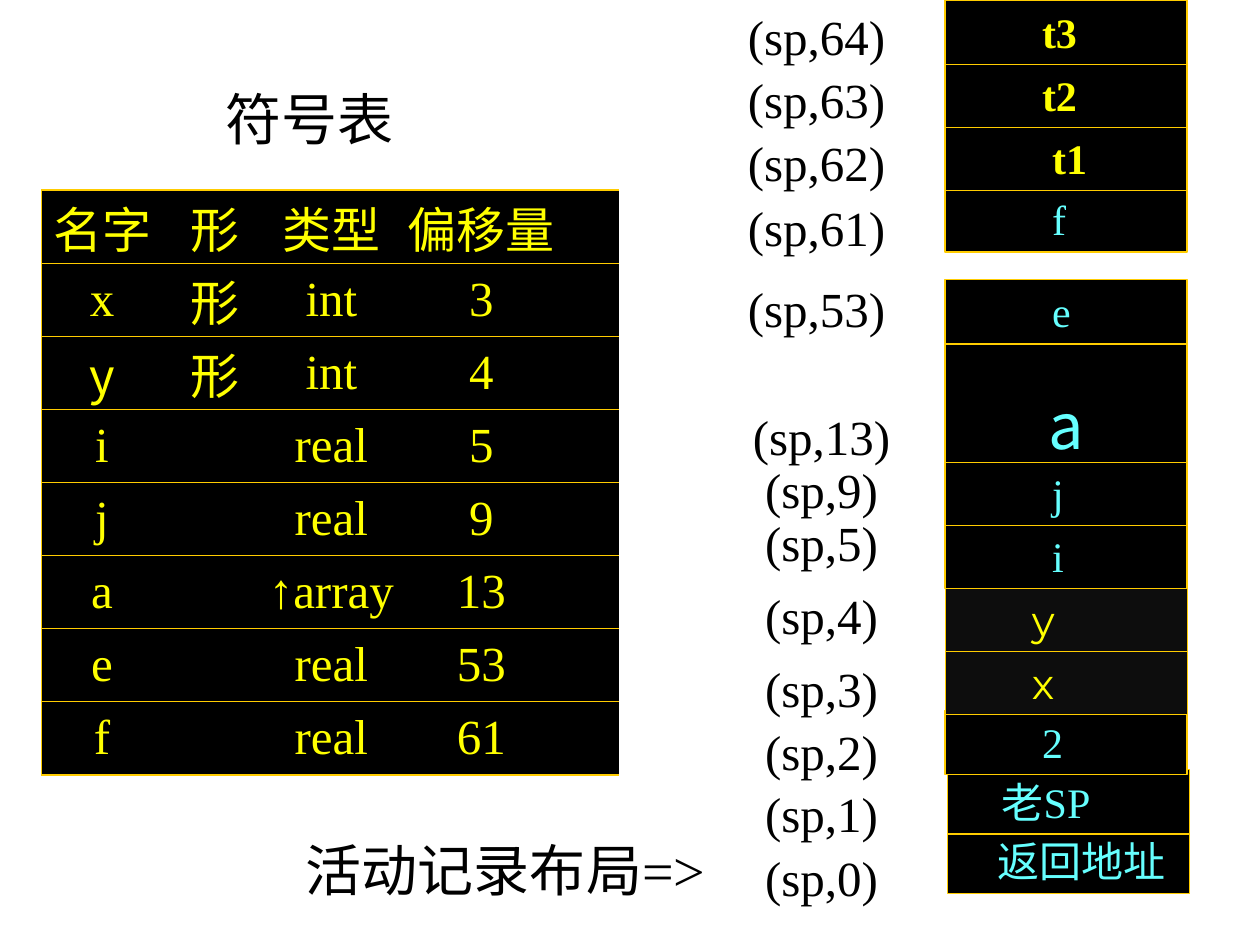
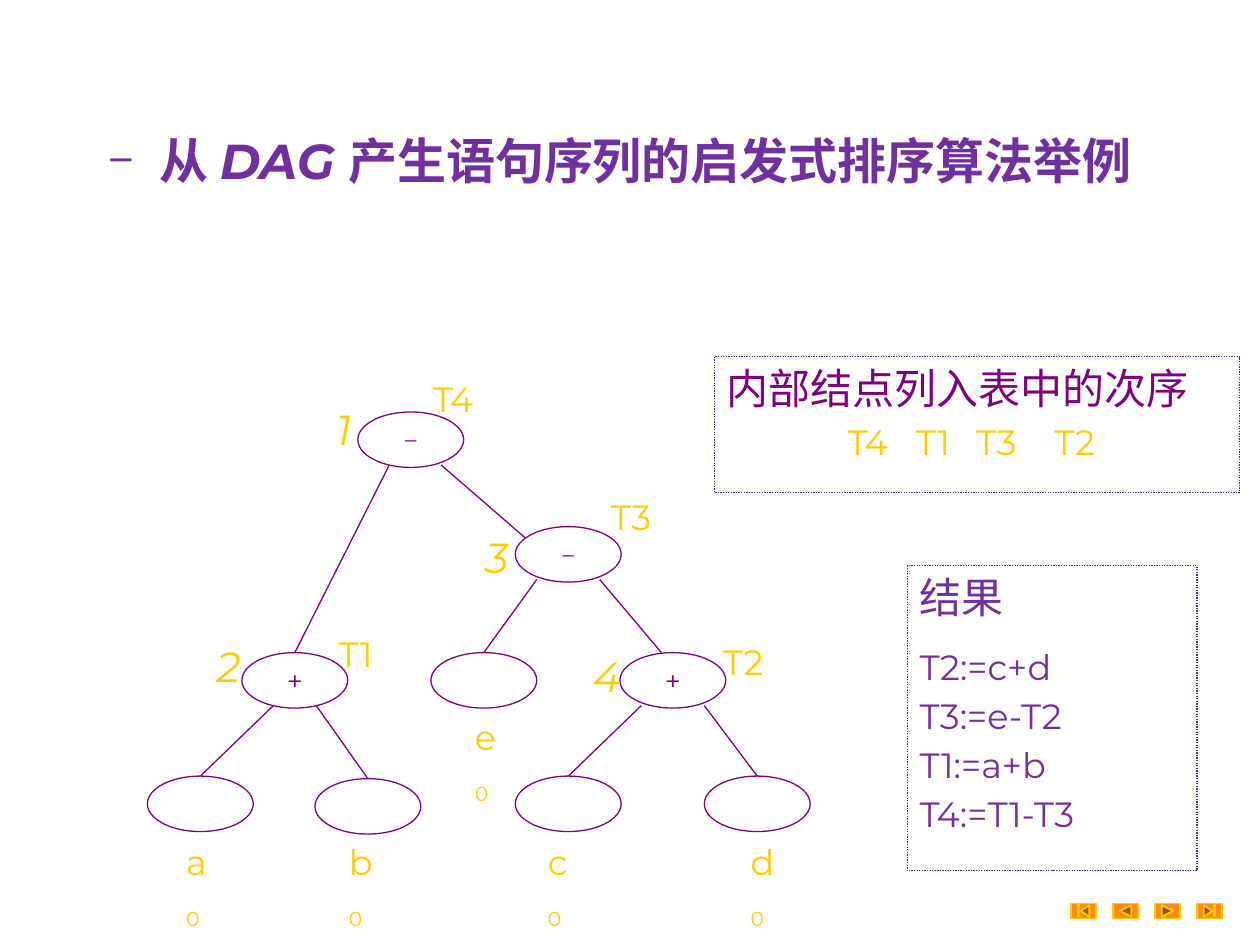
from lxml import etree
from pptx import Presentation, util as u
from pptx.dml.color import RGBColor
from pptx.enum import dml, shapes, text
from pptx.oxml.ns import qn

TIMES, NOTO, MONT = "Times New Roman", "Noto Sans CJK JP", "Montserrat"
BLACK, DARK, WHITE = "000000", "0D0D0D", "FFFFFF"
GOLD, YELLOW, CYAN, ORANGE = "FFCC00", "FFFF00", "66FFFF", "FF8B17"
PURPLE, VIOLET, NAVY = "800080", "7030A0", "333399"
MS, PA, MA = shapes.MSO_SHAPE, text.PP_ALIGN, text.MSO_ANCHOR

SYMBOLS = [
    ("名字", "形", "类型", "偏移量"),
    ("x", "形", "int", "3"),
    ("y", "形", "int", "4"),
    ("i", "", "real", "5"),
    ("j", "", "real", "9"),
    ("a", "", "↑array", "13"),
    ("e", "", "real", "53"),
    ("f", "", "real", "61"),
]
SYMBOL_AT, SYMBOL_COLS, SYMBOL_ROW = (0.33, 1.51), (0.96, 0.84, 1.0, 1.78), 0.58

TEMP = dict(size=24, name=TIMES, color=YELLOW, bold=True)
LOCAL = dict(size=24, name=TIMES, color=CYAN)
PARAM = dict(size=24, name=MONT, color=YELLOW)
ARRAY = dict(size=36, name=NOTO, color=CYAN)
STACK = [
    ("返回地址", 7.52, 6.58, 0.51, 0.4, LOCAL),
    ("老SP", 7.52, 6.11, 0.51, 0.43, LOCAL),
    ("2", 7.5, 5.64, 0.51, 0.77, LOCAL),
    ("x", 7.5, 5.17, 0.5, 0.69, PARAM),
    ("y", 7.5, 4.67, 0.5, 0.69, PARAM),
    ("i", 7.5, 4.16, 0.51, 0.85, LOCAL),
    ("j", 7.5, 3.66, 0.51, 0.85, LOCAL),
    ("a", 7.5, 2.73, 0.94, 0.82, ARRAY),
    ("e", 7.5, 2.22, 0.51, 0.85, LOCAL),
    ("f", 7.5, 1.49, 0.51, 0.85, LOCAL),
    ("t1", 7.5, 1.0, 0.51, 0.85, TEMP),
    ("t2", 7.5, 0.5, 0.51, 0.77, TEMP),
    ("t3", 7.5, 0.0, 0.51, 0.77, TEMP),
]
ADDRESSES = {64: 0, 63: 0.5, 62: 1, 61: 1.52, 53: 2.16, 13: 3.18, 9: 3.6,
             5: 4.02, 4: 4.6, 3: 5.18, 2: 5.68, 1: 6.17, 0: 6.68}
CAPTIONS = [("符号表", 1.33, 0.62, 2.25, PA.CENTER),
            ("活动记录布局=>", 2.33, 6.58, 3.67, PA.LEFT)]

TITLE = [("从 ", False), ("DAG ", True), ("产生语句序列的启发式排序算法举例", False)]
NODE_W, NODE_H = 0.84, 0.44
INNER = {
    "T4": ("−", (2.84, 3.27), (3.34, 3.0), "1", (2.57, 3.2)),
    "T1": ("+", (1.92, 5.18), (2.59, 5.02), "2", (1.62, 5.08)),
    "T3": ("−", (4.09, 4.18), (4.75, 3.93), "3", (3.75, 4.22)),
    "T2": ("+", (4.92, 5.18), (5.64, 5.08), "4", (4.61, 5.16)),
}
LEAVES = {
    "a": ((1.17, 6.16), (1.38, 6.67)),
    "b": ((2.5, 6.18), (2.67, 6.67)),
    "e": ((3.42, 5.18), (3.67, 5.68)),
    "c": ((4.09, 6.16), (4.25, 6.67)),
    "d": ((5.59, 6.16), (5.86, 6.67)),
}
EDGES = [
    ("T4", "T1", -0.17, 0, 0), ("T4", "T3", 0.24, -0.34, 0.09),
    ("T3", "e", -0.25, 0, 0), ("T3", "T2", 0.25, -0.09, 0),
    ("T1", "a", -0.17, 0, 0), ("T1", "b", 0.17, 0, 0),
    ("T2", "c", -0.25, 0, 0), ("T2", "d", 0.25, 0, 0),
]
ORDER_HEAD, ORDER = "内部结点列入表中的次序", ["T4", "T1", "T3", "T2"]
ORDER_TABS = (0.96, 1.5, 1.98, 2.6)
RESULT_HEAD = "结果"
RESULT = ["T2:=c+d", "T3:=e-T2", "T1:=a+b", "T4:=T1-T3"]
BUTTONS = [MS.ACTION_BUTTON_BEGINNING, MS.ACTION_BUTTON_BACK_OR_PREVIOUS,
           MS.ACTION_BUTTON_FORWARD_OR_NEXT, MS.ACTION_BUTTON_END]


def rgb(value):
    return RGBColor.from_string(value)


def inches(*values):
    return [u.Inches(v) for v in values]


def add_run(p, words, color, name, size, **fmt):
    r = p.add_run()
    r.text = words
    for key, value in dict(fmt, name=name, size=u.Pt(size)).items():
        setattr(r.font, key, value)
    r.font.color.rgb = rgb(color)
    ea = etree.SubElement(r._r.get_or_add_rPr(), qn("a:ea"))
    ea.set("typeface", NOTO)
    return r


def frame(sp, insets=(0.1, 0.05, 0.1, 0.05), anchor=MA.TOP, wrap=True):
    tf = sp.text_frame
    sides = ("margin_left", "margin_top", "margin_right", "margin_bottom")
    for key, value in zip(sides, inches(*insets)):
        setattr(tf, key, value)
    tf.vertical_anchor, tf.word_wrap = anchor, wrap
    return tf


def add_para(tf, words, fmt, align=PA.LEFT, before=0):
    p = tf.paragraphs[0]
    if p.runs:
        p = tf.add_paragraph()
        p.space_before = u.Pt(before)
    p.alignment = align
    add_run(p, words, **fmt)
    return p


def add_label(s, words, x, y, w, h, fmt, align=PA.LEFT, **box):
    sp = s.shapes.add_textbox(*inches(x, y, w, h))
    return add_para(frame(sp, **box), words, fmt, align)


def add_shape(s, kind, x, y, w, h, fill, line, width=0.75):
    sp = s.shapes.add_shape(kind, *inches(x, y, w, h))
    sp.shadow.inherit = False
    if fill:
        sp.fill.solid()
        sp.fill.fore_color.rgb = rgb(fill)
    else:
        sp.fill.background()
    sp.line.color.rgb, sp.line.width = rgb(line), u.Pt(width)
    return sp


def add_edge(s, start, end):
    c = s.shapes.add_connector(shapes.MSO_CONNECTOR.STRAIGHT, *inches(*start, *end))
    c.line.color.rgb, c.line.width = rgb(PURPLE), u.Pt(0.75)
    etree.SubElement(c._element.spPr, qn("a:effectLst"))


def set_borders(cell, colors):
    tcPr = cell._tc.get_or_add_tcPr()
    for i, (side, color) in enumerate(colors.items()):
        ln = etree.Element(qn("a:" + side), w=str(u.Pt(1)))
        if color:
            fill = etree.SubElement(ln, qn("a:solidFill"))
            etree.SubElement(fill, qn("a:srgbClr"), val=color)
        else:
            etree.SubElement(ln, qn("a:noFill"))
        tcPr.insert(i, ln)


def add_symbol_table(s):
    size = (sum(SYMBOL_COLS), SYMBOL_ROW * len(SYMBOLS))
    tbl = s.shapes.add_table(len(SYMBOLS), len(SYMBOL_COLS),
                             *inches(*SYMBOL_AT, *size)).table
    tbl.first_row = tbl.horz_banding = False
    for col, w in zip(tbl.columns, SYMBOL_COLS):
        col.width = u.Inches(w)
    for i, row in enumerate(SYMBOLS):
        for j, words in enumerate(row):
            cell = tbl.cell(i, j)
            cell.fill.solid()
            cell.fill.fore_color.rgb = rgb(BLACK)
            cell.margin_left = cell.margin_top = cell.margin_bottom = 0
            cell.margin_right = u.Inches(0.4 if j == len(row) - 1 else 0)
            cell.vertical_anchor = MA.MIDDLE
            set_borders(cell, {"lnL": None if j else GOLD, "lnR": None,
                               "lnT": GOLD, "lnB": GOLD})
            name = NOTO if words in ("y", "形") or i == 0 else TIMES
            add_para(cell.text_frame, words,
                     dict(size=28, name=name, color=YELLOW), PA.CENTER)


def build_layout_slide(s):
    for words, x, y, w, align in CAPTIONS:
        add_label(s, words, x, y, w, 0.63, dict(size=32, name=TIMES, color=BLACK), align)
    add_symbol_table(s)
    for words, x, y, h, indent, fmt in STACK:
        param, array = fmt is PARAM, fmt is ARRAY
        sp = add_shape(s, MS.RECTANGLE, x, y, 1.92, h, DARK if param else BLACK,
                       GOLD, 0.25 if param else 0.75)
        tf = frame(sp, (indent, 0 if array else 0.05, 0, 0 if array else 0.05),
                   MA.BOTTOM if array else MA.TOP)
        add_para(tf, words, fmt)
    for offset, y in ADDRESSES.items():
        center = 6.48 if offset > 13 else 6.52
        add_label(s, f"(sp,{offset})", center - 0.85, y, 1.7, 0.57,
                  dict(size=28, name=TIMES, color=BLACK), PA.CENTER)


def add_title(s):
    tf = frame(s.shapes.add_textbox(*inches(0.75, 0.99, 8.92, 0.57)))
    p = tf.paragraphs[0]
    pPr = p._p.get_or_add_pPr()
    pPr.set("marL", str(u.Inches(0.42)))
    pPr.set("indent", str(-u.Inches(0.42)))
    etree.SubElement(pPr, qn("a:buFont"), typeface=MONT)
    etree.SubElement(pPr, qn("a:buChar"), char="−")
    for words, italic in TITLE:
        add_run(p, words, VIOLET, MONT, 28, bold=True, italic=italic)


def add_tree(s):
    spots = {k: v[1] for k, v in INNER.items()} | {k: v[0] for k, v in LEAVES.items()}
    for parent, child, dx, end_dx, end_dy in EDGES:
        (px, py), (cx, cy) = spots[parent], spots[child]
        half = NODE_W / 2
        add_edge(s, (px + half + dx, py + 0.42), (cx + half + end_dx, cy + end_dy))
    nodes = {k: add_shape(s, MS.OVAL, *at, NODE_W, NODE_H, WHITE, PURPLE)
             for k, at in spots.items()}
    tight = dict(insets=(0.1, 0, 0.1, 0), wrap=False)
    tag = dict(size=20, name=MONT, color=GOLD)
    for name, (op, _, name_at, rank, rank_at) in INNER.items():
        fmt = dict(size=16, name=MONT) if op == "+" else dict(size=14, name=TIMES)
        tf = frame(nodes[name], (0.06, 0.01, 0.06, 0.01), MA.MIDDLE)
        add_para(tf, op, dict(fmt, color=PURPLE), PA.CENTER)
        add_label(s, name, *name_at, 0.53, 0.27, tag, **tight)
        add_label(s, rank, *rank_at, 0.39, 0.32, dict(tag, size=24, italic=True), **tight)
    for name, (_, name_at) in LEAVES.items():
        p = add_label(s, name, *name_at, 0.46, 0.27, tag, **tight)
        p.add_line_break()
        r = add_run(p, "0", **tag)
        r._r.get_or_add_rPr().set("baseline", "-25000")


def add_panel(s, x, y, w, h, head, color):
    sp = add_shape(s, MS.RECTANGLE, x, y, w, h, None, NAVY)
    sp.line.dash_style = dml.MSO_LINE.ROUND_DOT
    tf = frame(sp)
    add_para(tf, head, dict(size=24, name=MONT, color=color))
    return tf


def build_dag_slide(s):
    for i, kind in enumerate(BUTTONS):
        add_shape(s, kind, 8.5 + i / 3, 7.17, 0.2, 0.12, ORANGE, GOLD, 1)
    add_title(s)
    add_tree(s)
    tf = add_panel(s, 5.67, 2.83, 4.17, 1.08, ORDER_HEAD, PURPLE)
    p = add_para(tf, "".join("\t" + name for name in ORDER),
                 dict(size=20, name=MONT, color=GOLD), before=4)
    tabs = etree.SubElement(p._p.get_or_add_pPr(), qn("a:tabLst"))
    for pos in ORDER_TABS:
        etree.SubElement(tabs, qn("a:tab"), pos=str(u.Inches(pos)), algn="l")
    tf = add_panel(s, 7.2, 4.49, 2.3, 2.42, RESULT_HEAD, VIOLET)
    for i, line in enumerate(RESULT):
        add_para(tf, line, dict(size=20, name=MONT, color=VIOLET), before=4 if i else 13)


def main():
    prs = Presentation()
    prs.slide_width, prs.slide_height = inches(10, 7.5)
    for build in (build_layout_slide, build_dag_slide):
        build(prs.slides.add_slide(prs.slide_layouts[6]))
    prs.save("out.pptx")


if __name__ == "__main__":
    main()
